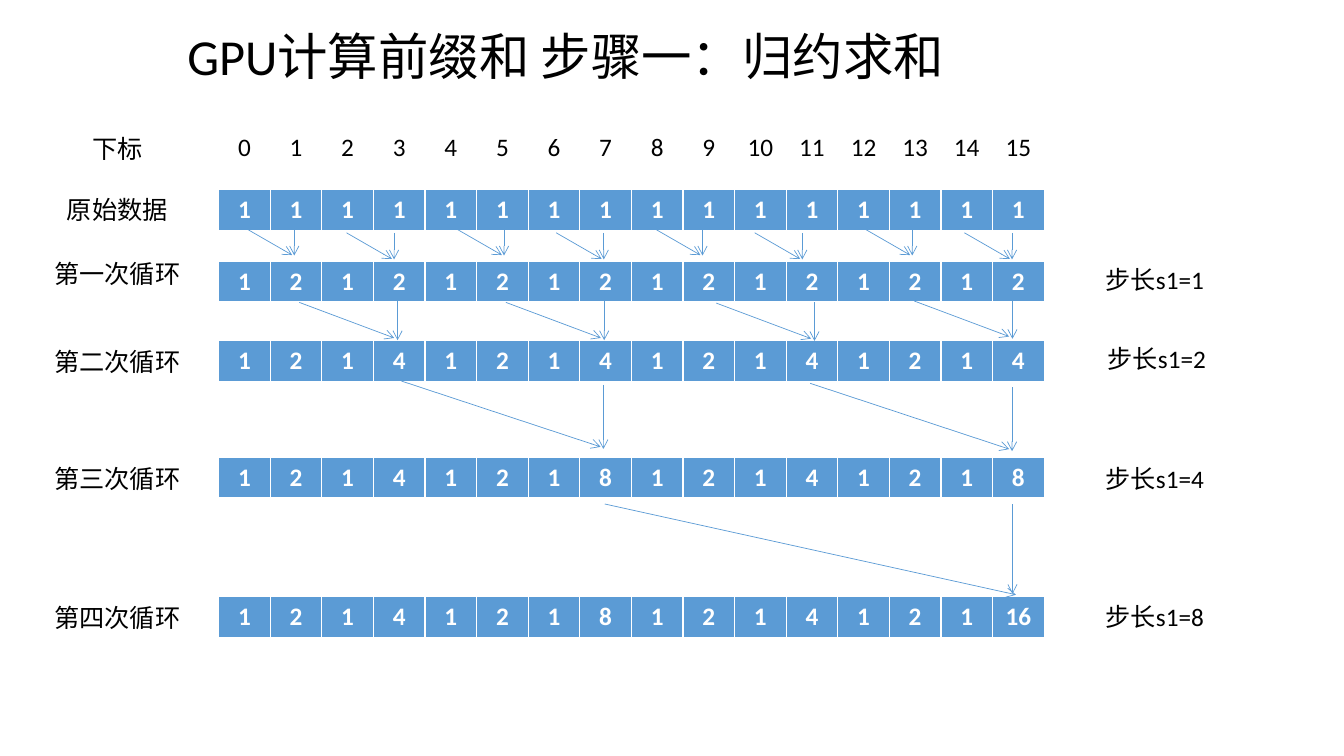
from dataclasses import dataclass

import lxml.etree
import pptx
import pptx.dml.color
import pptx.enum.shapes
import pptx.enum.text
import pptx.oxml.ns
import pptx.util

Pt = pptx.util.Pt
qn = pptx.oxml.ns.qn
Align = pptx.enum.text.PP_ALIGN


@dataclass(frozen=True)
class Theme:
    """Colours, type and line sizes of the slide."""
    font: str = "Calibri"
    blue: str = "5B9BD5"
    white: str = "FFFFFF"
    black: str = "000000"
    title: int = 36
    body: int = 18
    arrow: float = 0.5
    borders: tuple = (("lnL", 1), ("lnR", 1), ("lnT", 1), ("lnB", 3))


@dataclass(frozen=True)
class Loop:
    """One reduction pass: its row, labels and the arrows leading into it."""
    name: str
    step: int
    row_top: float
    name_top: float
    step_left: float
    step_top: float
    tips: tuple    # (x, y) where each vertical arrow's column begins
    reach: float   # from a slanted arrow's start to its column
    slip: float    # from the column to the slanted arrow's tip
    drop: float    # height of the slanted arrow
    lag: float     # how much lower the vertical arrow starts
    fall: float    # height of the vertical arrow


def rgb(value):
    """Turn a hex string into a colour."""
    return pptx.dml.color.RGBColor.from_string(value)


class Painter:
    """Draws styled elements on the current slide."""

    def __init__(self, page, theme):
        """Keep the slide and its theme."""
        self.page, self.theme = page, theme

    def style(self, para, size, color, align, bold=False):
        """Set font and alignment of a paragraph."""
        para.alignment = align
        para.font.name, para.font.size = self.theme.font, Pt(size)
        para.font.bold, para.font.color.rgb = bold, rgb(color)

    def text(self, words, left, top, width, height, size, align):
        """Add a wrapped text box."""
        box = self.page.shapes.add_textbox(Pt(left), Pt(top), Pt(width), Pt(height))
        frame = box.text_frame
        frame.word_wrap = True
        frame.auto_size = pptx.enum.text.MSO_AUTO_SIZE.SHAPE_TO_FIT_TEXT
        frame.text = words
        self.style(frame.paragraphs[0], size, self.theme.black, align)

    def label(self, words, left, top):
        """Add a centred row label."""
        self.text(words, left, top, 111.6, 29, self.theme.body, Align.CENTER)

    def row(self, values, top, filled=True):
        """Add a one-row table of numbers."""
        count = len(values)
        frame = self.page.shapes.add_table(
            1, count, Pt(ROW_LEFT), Pt(top), Pt(CELL_WIDTH * count), Pt(CELL_HEIGHT))
        table = frame.table
        table.first_row = table.horz_banding = False
        for column, cell, value in zip(table.columns, table.iter_cells(), values):
            column.width = Pt(CELL_WIDTH)
            cell.text = str(value)
            color = self.theme.white if filled else self.theme.black
            self.style(cell.text_frame.paragraphs[0], self.theme.body, color,
                       Align.CENTER, filled)
            if filled:
                cell.fill.solid()
                cell.fill.fore_color.rgb = rgb(self.theme.blue)
            else:
                cell.fill.background()
            self.border(cell, filled)

    def border(self, cell, visible):
        """Give a cell white edges, or none."""
        properties = cell._tc.get_or_add_tcPr()
        for place, (side, width) in enumerate(self.theme.borders):
            edge = lxml.etree.Element(qn("a:" + side), w=str(Pt(width)))
            if visible:
                fill = lxml.etree.SubElement(edge, qn("a:solidFill"))
                lxml.etree.SubElement(fill, qn("a:srgbClr"), val=self.theme.white)
            else:
                lxml.etree.SubElement(edge, qn("a:noFill"))
            properties.insert(place, edge)

    def arrow(self, x1, y1, x2, y2):
        """Add a thin open-headed arrow."""
        line = self.page.shapes.add_connector(
            pptx.enum.shapes.MSO_CONNECTOR.STRAIGHT, Pt(x1), Pt(y1), Pt(x2), Pt(y2))
        line.line.color.rgb = rgb(self.theme.blue)
        line.line.width = Pt(self.theme.arrow)
        lxml.etree.SubElement(line.line._get_or_add_ln(), qn("a:tailEnd"), type="arrow")
        lxml.etree.SubElement(line._element.spPr, qn("a:effectLst"))

    def merge(self, loop):
        """Draw the pair of arrows into every sum of a loop."""
        for x, y in loop.tips:
            self.arrow(x - loop.reach, y, x + loop.slip, y + loop.drop)
            self.arrow(x, y + loop.lag, x, y + loop.lag + loop.fall)


ROW_LEFT, CELL_WIDTH, CELL_HEIGHT = 156.2, 36.86, 30
NAME_LEFT = 28
LOOPS = (
    Loop("第一次循环", 1, 186.5, 180.7, 769, 185,
         ((210.2, 163.5), (281.5, 166.3), (360, 163.5), (431.3, 166.3),
          (501.8, 163.5), (573.1, 166.3), (651.6, 163.5), (722.9, 166.3)),
         34, -1.5, 18.7, 0, 19),
    Loop("第二次循环", 2, 243.2, 244, 770.4, 242,
         ((284, 216), (431.6, 216), (581.8, 216.5), (723.2, 215)),
         70.2, -2.4, 25.4, -0.7, 27.7),
    Loop("第三次循环", 4, 326.4, 327.6, 769, 327.6,
         ((431, 272.2), (722.9, 273.8)), 144.2, -2, 47, 2.8, 45.7),
    Loop("第四次循环", 8, 426.2, 427, 769, 426.2,
         ((723.2, 360),), 291.2, 2.5, 64.8, 0, 64.2),
)


def main():
    """Build the prefix-sum reduction slide."""
    deck = pptx.Presentation()
    deck.slide_width, deck.slide_height = Pt(960), Pt(540)
    theme = Theme()
    painter = Painter(deck.slides.add_slide(deck.slide_layouts[6]), theme)

    painter.text("GPU计算前缀和 步骤一：归约求和", 126.7, 14.4, 618.5, 51,
                 theme.title, Align.LEFT)
    painter.label("下标", NAME_LEFT, 91.4)
    painter.row(range(16), 91.4, filled=False)

    values = [1] * 16
    painter.label("原始数据", NAME_LEFT, 135.4)
    painter.row(values, 135.4)

    for loop in LOOPS:
        for index in range(2 * loop.step - 1, len(values), 2 * loop.step):
            values[index] += values[index - loop.step]
        painter.label(loop.name, NAME_LEFT, loop.name_top)
        painter.row(values, loop.row_top)
        painter.merge(loop)
        painter.label(f"步长s1={loop.step}", loop.step_left, loop.step_top)

    deck.save("out.pptx")


main()
